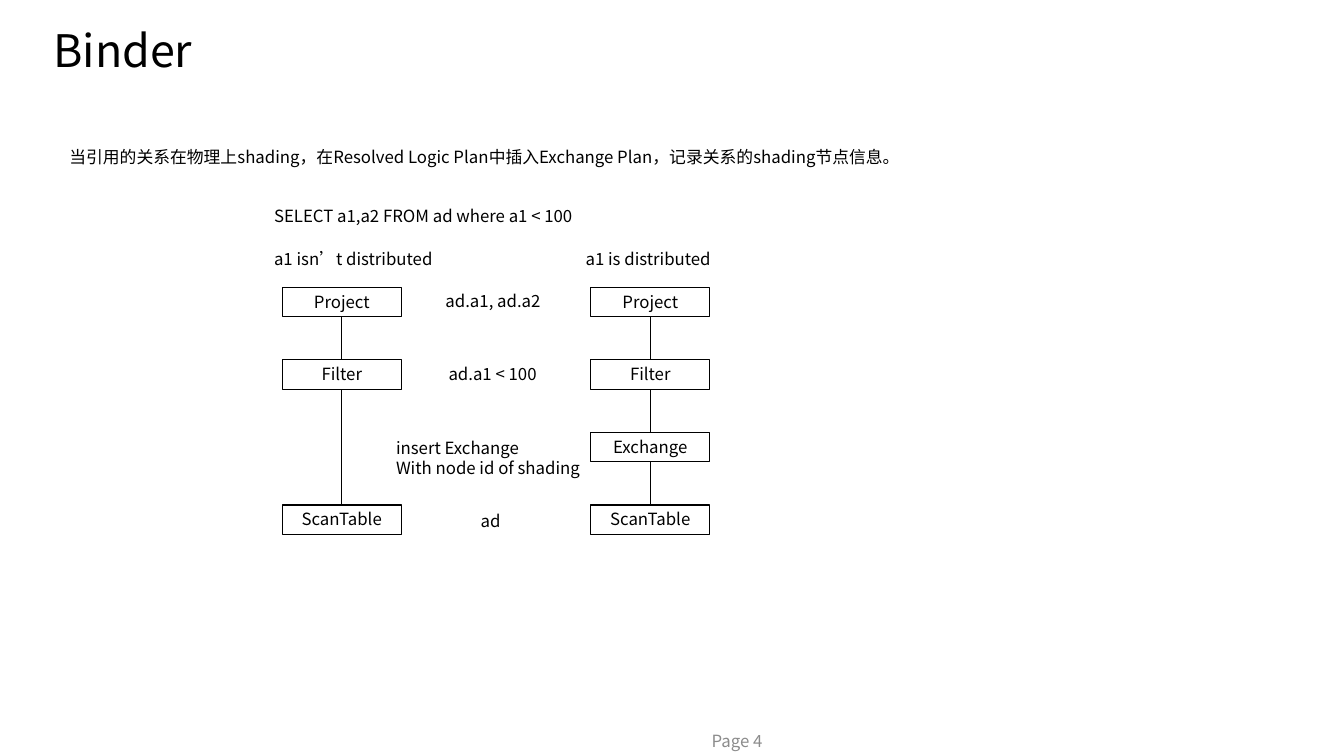
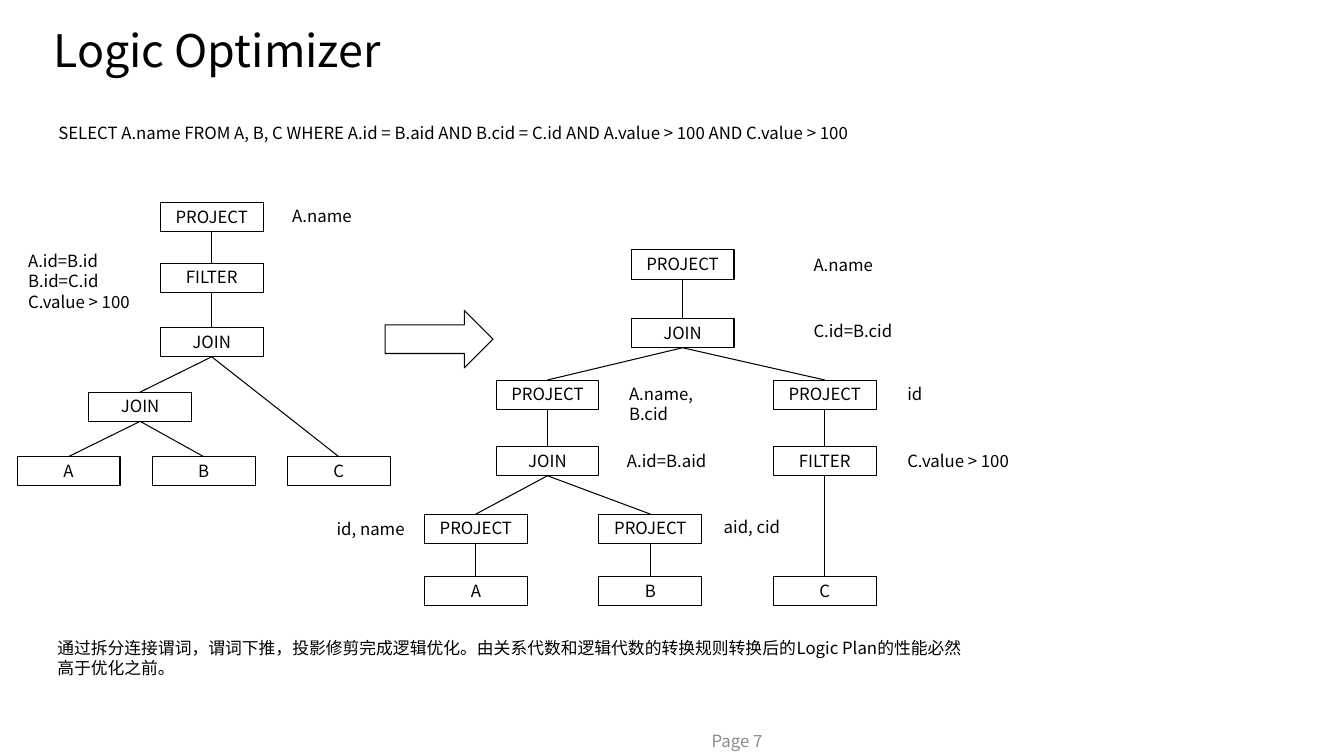
from dataclasses import dataclass

from lxml import etree
from pptx import Presentation
from pptx.dml.color import RGBColor
from pptx.enum.shapes import MSO_CONNECTOR, MSO_SHAPE
from pptx.enum.text import MSO_ANCHOR, PP_ALIGN
from pptx.oxml.ns import qn
from pptx.shapes.autoshape import Shape
from pptx.slide import Slide
from pptx.text.text import TextFrame
from pptx.util import Inches, Pt

COLORS = {"ink": "000000", "page": "8C8C8C", "back": "FFFFFF"}
FACE = "Noto Sans CJK SC"
BODY, HEAD, LINE = 12, 32, 0.75
BOX_H = 0.29
BOX = MSO_SHAPE.FLOWCHART_PROCESS
ARROW = MSO_SHAPE.RIGHT_ARROW
STRAIGHT = MSO_CONNECTOR.STRAIGHT
TOP, MIDDLE = MSO_ANCHOR.TOP, MSO_ANCHOR.MIDDLE
LEFT, CENTER = PP_ALIGN.LEFT, PP_ALIGN.CENTER
TOP_SITE, BOTTOM_SITE = 0, 2


@dataclass
class Node:
    key: str
    text: str
    x: float
    y: float
    parent: str = ""


@dataclass
class Label:
    text: str
    x: float
    y: float
    w: float
    h: float = 0.3
    size: int = BODY
    color: str = "ink"
    wrap: bool = False
    anchor: MSO_ANCHOR = TOP
    space: float = 1.0


# Shared text and line styles
def rgb(name: str) -> RGBColor:
    return RGBColor.from_string(COLORS[name])


def write(frame: TextFrame, text: str, size: int = BODY, color: str = "ink",
          align: PP_ALIGN = LEFT, space: float = 1.0) -> None:
    frame.text = text
    for para in frame.paragraphs:
        para.alignment = align
        para.line_spacing = space
        font = para.font
        font.name, font.size = FACE, Pt(size)
        font.color.rgb = rgb(color)
        props = para._p.pPr.find(qn("a:defRPr"))
        asian = etree.SubElement(props, qn("a:ea"))
        asian.set("typeface", FACE)


def add_label(slide: Slide, label: Label) -> None:
    box = slide.shapes.add_textbox(
        Inches(label.x), Inches(label.y), Inches(label.w), Inches(label.h))
    frame = box.text_frame
    frame.word_wrap = label.wrap
    frame.vertical_anchor = label.anchor
    write(frame, label.text, label.size, label.color, space=label.space)


def add_outline(slide: Slide, kind: MSO_SHAPE, x: float, y: float,
                w: float, h: float) -> Shape:
    shape = slide.shapes.add_shape(
        kind, Inches(x), Inches(y), Inches(w), Inches(h))
    shape.shadow.inherit = False
    shape.fill.background()
    shape.line.color.rgb = rgb("ink")
    shape.line.width = Pt(LINE)
    return shape


# Trees: each node is joined to its parent
def join(slide: Slide, upper: Shape, lower: Shape) -> None:
    link = slide.shapes.add_connector(STRAIGHT, 0, 0, 0, 0)
    link.begin_connect(upper, BOTTOM_SITE)
    link.end_connect(lower, TOP_SITE)
    link.line.color.rgb = rgb("ink")
    link.line.width = Pt(LINE)
    etree.SubElement(link._element.spPr, qn("a:effectLst"))


def add_tree(slide: Slide, nodes: list[Node], width: float) -> None:
    boxes: dict[str, Shape] = {}
    for node in nodes:
        box = add_outline(slide, BOX, node.x, node.y, width, BOX_H)
        frame = box.text_frame
        frame.vertical_anchor = TOP
        frame.margin_left = frame.margin_right = Inches(0.09)
        frame.margin_top = frame.margin_bottom = Inches(0.04)
        write(frame, node.text, align=CENTER)
        boxes[node.key] = box
        if node.parent:
            join(slide, boxes[node.parent], box)


def chain(x: float, steps: dict[str, float]) -> list[Node]:
    names = list(steps)
    return [Node(name, name, x, steps[name], parent)
            for name, parent in zip(names, ["", *names])]


# Deck and slide frame
deck = Presentation()
deck.slide_width, deck.slide_height = Inches(13.33), Inches(7.5)


def new_slide(title: str, page: int) -> Slide:
    slide = deck.slides.add_slide(deck.slide_layouts[6])
    slide.background.fill.solid()
    slide.background.fill.fore_color.rgb = rgb("back")
    add_label(slide, Label(title, 0.43, 0.05, 8.47, 0.95, HEAD,
                           wrap=True, anchor=MIDDLE, space=0.9))
    add_label(slide, Label(f"Page {page}", 6.96, 7.1, 2.29, 0.5,
                           color="page", wrap=True, anchor=MIDDLE))
    return slide


# Binder: plans without and with Exchange
binder = new_slide("Binder", 4)
ranks = ["Project", "Filter", "Exchange", "ScanTable"]
rows = {name: 2.85 + 0.72 * i for i, name in enumerate(ranks)}
local = {name: y for name, y in rows.items() if name != "Exchange"}
add_tree(binder, chain(2.8, local), 1.18)
add_tree(binder, chain(5.86, rows), 1.18)
for label in [
    Label("当引用的关系在物理上shading，在Resolved Logic Plan中插入Exchange Plan，"
          "记录关系的shading节点信息。", 0.59, 1.41, 8.54, 0.5, wrap=True),
    Label("SELECT a1,a2 FROM ad where a1 < 100", 2.62, 1.99, 3.34),
    Label("a1 isn’t distributed", 2.62, 2.42, 1.83),
    Label("a1 is distributed", 5.71, 2.42, 1.49),
    Label("ad.a1, ad.a2", 4.32, 2.84, 1.15),
    Label("ad.a1 < 100", 4.35, 3.56, 1.15),
    Label("insert Exchange\nWith node id of shading", 3.83, 4.29, 2.14, 0.5),
    Label("ad", 4.67, 5.02, 0.4),
]:
    add_label(binder, label)

# Logic Optimizer: plan before and after
logic = new_slide("Logic Optimizer", 7)
before = [
    Node("root", "PROJECT", 1.59, 2.01),
    Node("filter", "FILTER", 1.59, 2.61, "root"),
    Node("outer", "JOIN", 1.59, 3.25, "filter"),
    Node("inner", "JOIN", 0.88, 3.89, "outer"),
]
before += [Node(name, name, 0.17 + 1.34 * i, 4.53, parent)
           for i, (name, parent) in enumerate(
               [("A", "inner"), ("B", "inner"), ("C", "outer")])]
after = [
    Node("root", "PROJECT", 6.26, 2.48),
    Node("outer", "JOIN", 6.26, 3.16, "root"),
    Node("left", "PROJECT", 4.92, 3.77, "outer"),
    Node("right", "PROJECT", 7.67, 3.77, "outer"),
    Node("inner", "JOIN", 4.92, 4.43, "left"),
    Node("filter", "FILTER", 7.67, 4.43, "right"),
    Node("cut A", "PROJECT", 4.21, 5.1, "inner"),
    Node("cut B", "PROJECT", 5.94, 5.1, "inner"),
]
after += [Node(name, name, 4.21 + 1.73 * i, 5.72, parent)
          for i, (name, parent) in enumerate(
              [("A", "cut A"), ("B", "cut B"), ("C", "filter")])]
for tree in (before, after):
    add_tree(logic, tree, 1.02)
add_outline(logic, ARROW, 3.82, 3.08, 1.07, 0.57)
for label in [
    Label("SELECT A.name FROM A, B, C WHERE A.id = B.aid AND B.cid = C.id "
          "AND A.value > 100 AND C.value > 100", 0.48, 1.17, 9.17, wrap=True),
    Label("A.name", 2.8, 1.99, 0.81),
    Label("A.id=B.id\nB.id=C.id\nC.value > 100", 0.18, 2.44, 1.29, 0.71),
    Label("A.name", 7.97, 2.48, 0.81),
    Label("C.id=B.cid", 7.97, 3.13, 1.01),
    Label("A.name,\nB.cid", 6.14, 3.76, 0.85, 0.5),
    Label("id", 8.9, 3.76, 0.35),
    Label("A.id=B.aid", 6.12, 4.42, 1.03),
    Label("C.value > 100", 8.9, 4.42, 1.29),
    Label("id, name", 3.24, 5.1, 0.89),
    Label("aid, cid", 7.08, 5.08, 0.77),
    Label("通过拆分连接谓词，谓词下推，投影修剪完成逻辑优化。由关系代数和逻辑代数的"
          "转换规则转换后的Logic Plan的性能必然高于优化之前。",
          0.47, 6.28, 9.17, 0.5, wrap=True),
]:
    add_label(logic, label)

deck.save("out.pptx")
